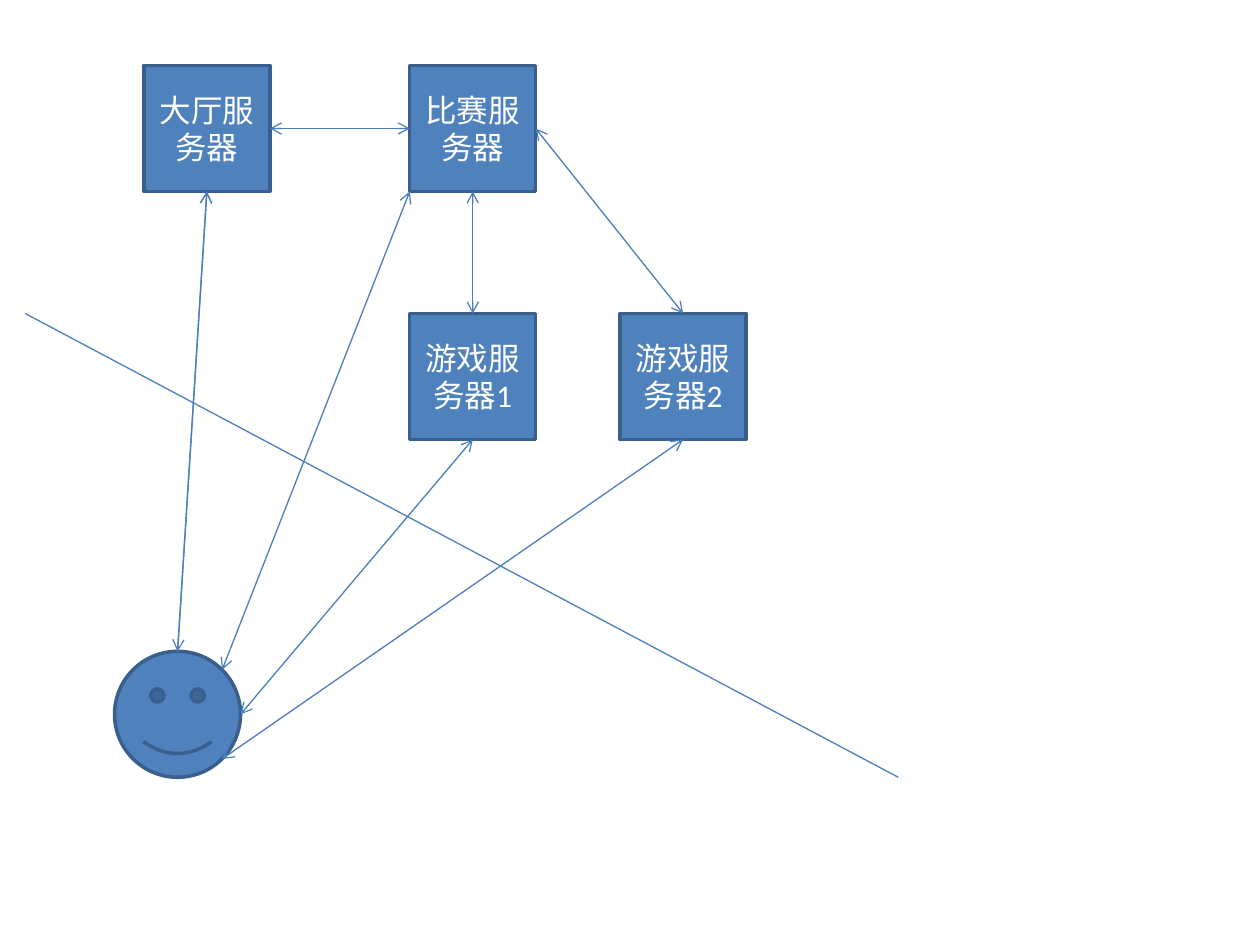
"""Draw a diagram of a player and the game servers it talks to."""
from math import sqrt

from lxml.etree import SubElement
from pptx import Presentation
from pptx.dml.color import RGBColor
from pptx.enum.shapes import MSO_CONNECTOR, MSO_SHAPE
from pptx.enum.text import MSO_ANCHOR, PP_ALIGN
from pptx.oxml.ns import qn
from pptx.util import Cm, Pt

SIZE = 2.54
FILL, OUTLINE, LINK, WHITE = "4F81BD", "3A5F8C", "4B7EBC", "FFFFFF"
NODES = {
    "player": (MSO_SHAPE.SMILEY_FACE, 2.31, 13.13, ""),
    "lobby": (MSO_SHAPE.RECTANGLE, 2.9, 1.32, "大厅服务器"),
    "match": (MSO_SHAPE.RECTANGLE, 8.26, 1.32, "比赛服务器"),
    "game 1": (MSO_SHAPE.RECTANGLE, 8.26, 6.32, "游戏服务器1"),
    "game 2": (MSO_SHAPE.RECTANGLE, 12.5, 6.32, "游戏服务器2"),
}
NEAR, FAR = 0.5 - sqrt(0.5) / 2, 0.5 + sqrt(0.5) / 2
ANCHORS = {
    "top": (0.5, 0), "left": (0, 0.5), "bottom": (0.5, 1), "right": (1, 0.5),
    "corner": (0, 1), "upper right": (FAR, NEAR), "lower right": (FAR, FAR),
}
SITES = {"top": 0, "left": 1, "bottom": 2, "right": 3}
BOTH = ("headEnd", "tailEnd")
LINKS = [
    ("player", "top", "lobby", "bottom", ("tailEnd",)),
    ("lobby", "bottom", "player", "top", BOTH),
    ("lobby", "right", "match", "left", BOTH),
    ("match", "bottom", "game 1", "top", BOTH),
    ("match", "right", "game 2", "top", BOTH),
    ("player", "upper right", "match", "corner", BOTH),
    ("player", "right", "game 1", "bottom", BOTH),
    ("player", "lower right", "game 2", "bottom", BOTH),
]
BOUNDARY = ((0.51, 6.32), (18.11, 15.67))


def color(value):
    return RGBColor.from_string(value)


def write_text(shape, text, size=18, font="Calibri", ink=WHITE, align=PP_ALIGN.CENTER):
    frame = shape.text_frame
    frame.word_wrap = True
    frame.vertical_anchor = MSO_ANCHOR.MIDDLE
    paragraph = frame.paragraphs[0]
    paragraph.alignment = align
    run = paragraph.add_run()
    run.text = text
    run.font.size = Pt(size)
    run.font.name = font
    run.font.color.rgb = color(ink)


def add_node(slide, kind, left, top, text):
    shape = slide.shapes.add_shape(kind, Cm(left), Cm(top), Cm(SIZE), Cm(SIZE))
    shape.shadow.inherit = False
    shape.fill.solid()
    shape.fill.fore_color.rgb = color(FILL)
    shape.line.color.rgb = color(OUTLINE)
    shape.line.width = Pt(2)
    if text:
        write_text(shape, text)
    return shape


def add_line(slide, start, end, arrows=()):
    points = [Cm(value) for value in (*start, *end)]
    connector = slide.shapes.add_connector(MSO_CONNECTOR.STRAIGHT, *points)
    connector.line.color.rgb = color(LINK)
    connector.line.width = Pt(0.75)
    for arrow in arrows:
        SubElement(connector.line._get_or_add_ln(), qn(f"a:{arrow}"), type="arrow")
    SubElement(connector._element.spPr, qn("a:effectLst"))
    return connector


def anchor_point(name, anchor):
    _, left, top, _ = NODES[name]
    across, down = ANCHORS[anchor]
    return left + across * SIZE, top + down * SIZE


def can_join(name, anchor):
    return anchor in SITES and (name != "player" or anchor == "top")


def main():
    presentation = Presentation()
    presentation.slide_width, presentation.slide_height = Cm(25.4), Cm(19.05)
    slide = presentation.slides.add_slide(presentation.slide_layouts[6])
    shapes = {name: add_node(slide, *node) for name, node in NODES.items()}
    for source, source_anchor, target, target_anchor, arrows in LINKS:
        start = anchor_point(source, source_anchor)
        end = anchor_point(target, target_anchor)
        connector = add_line(slide, start, end, arrows)
        if can_join(source, source_anchor):
            connector.begin_connect(shapes[source], SITES[source_anchor])
        if can_join(target, target_anchor):
            connector.end_connect(shapes[target], SITES[target_anchor])
    add_line(slide, *BOUNDARY)
    presentation.save("out.pptx")


if __name__ == "__main__":
    main()
